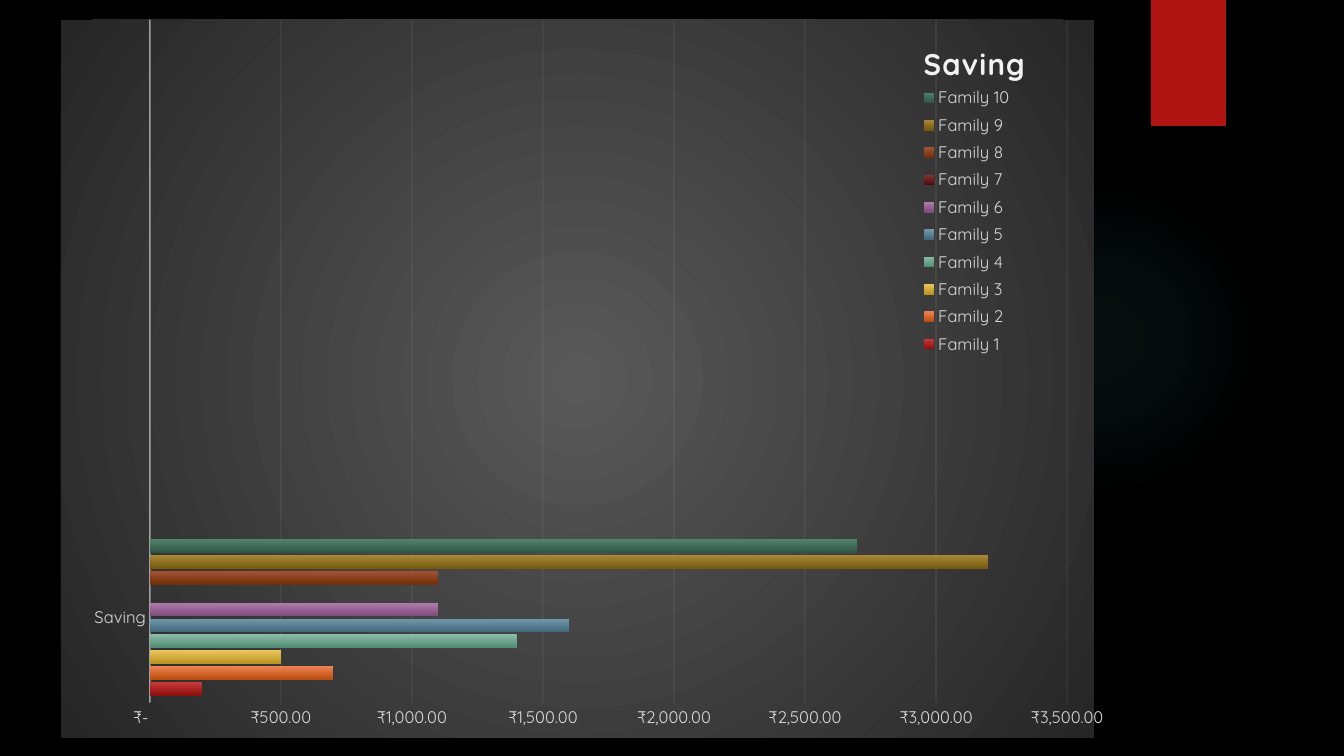
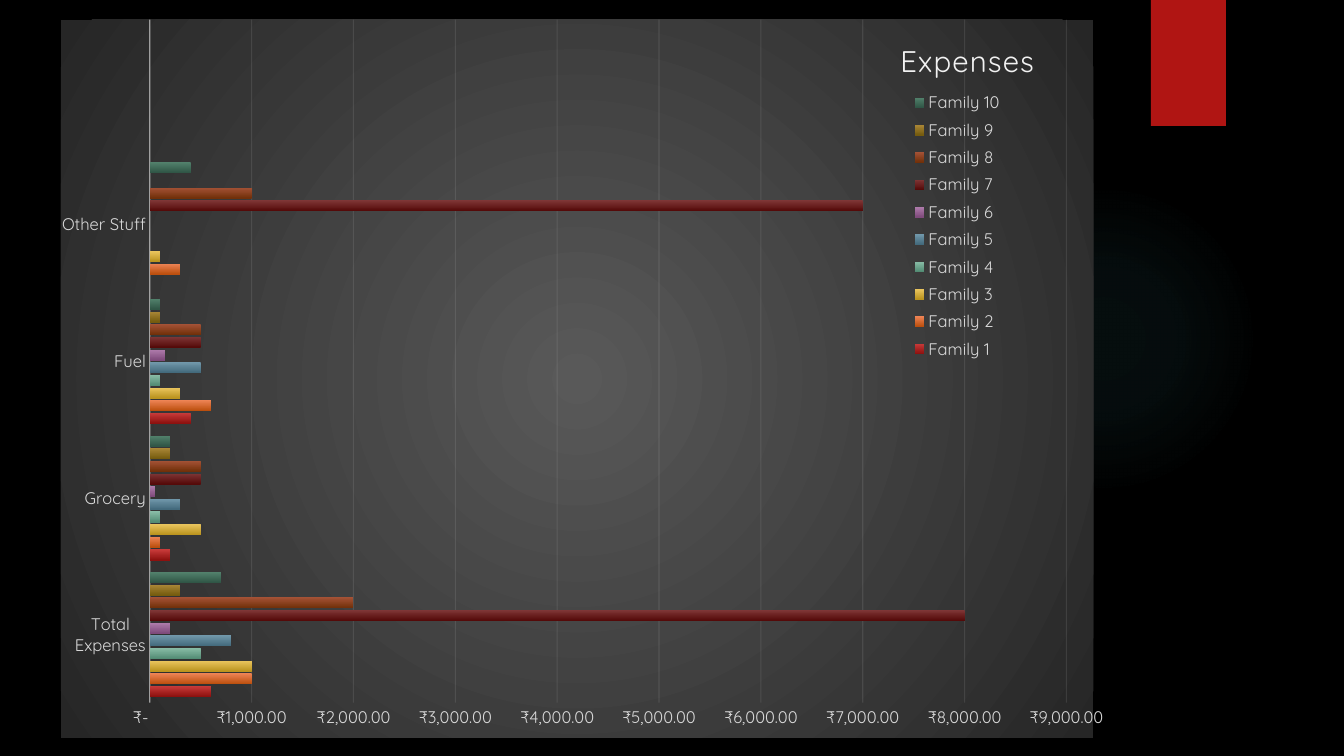
from pptx import Presentation
from pptx.chart.data import CategoryChartData
from pptx.dml.color import RGBColor
from pptx.enum.chart import XL_CHART_TYPE as ChartType
from pptx.enum.chart import XL_LEGEND_POSITION as LegendPosition
from pptx.enum.chart import XL_TICK_MARK as TickMark
from pptx.enum.shapes import MSO_SHAPE as Shape
from pptx.oxml import parse_xml
from pptx.oxml.ns import nsdecls, qn
from pptx.util import Pt

PX = 914400 / 100.8
FONT = "Quicksand"
BLACK, RED, TEAL = "000000", "B01513", "50B9C1"
WHITE, LIGHT, LABEL = "FFFFFF", "F2F2F2", "D9D9D9"
RUPEES = '_("₹"* #,##0.00_);_("₹"* \\(#,##0.00\\);_("₹"* "-"??_);_(@_)'
rgb = RGBColor.from_string

LINEAR_DOWN = '<a:lin ang="5400000" scaled="0"/>'
RADIAL = ('<a:path path="circle">'
          '<a:fillToRect l="50000" t="50000" r="50000" b="50000"/></a:path>')

# Top and bottom colour of each family's bars
FAMILY_COLOURS = [
    ("C93B3A", "8D110F"), ("EE8455", "BC4F0E"), ("EBC65F", "BB941F"),
    ("89BDA7", "538C74"), ("7198AB", "436A7C"), ("AF7CAC", "7F4B7C"),
    ("7F3636", "550A09"), ("A45236", "713009"), ("AA8737", "755B0E"),
    ("52816C", "305646"),
]

# Unlabelled categories leave empty room above the bars
CHARTS = [
    dict(
        title="Saving", bold=True, title_at=(0.83, 0.025),
        legend_at=(0.822, 0.085, 0.11, 0.39),
        categories=["Saving", "", "", ""],
        values=[[200, 700, 500, 1400, 1600, 1100, 0, 1100, 3200, 2700]],
        maximum=3500, step=500,
    ),
    dict(
        title="Expenses", bold=False, title_at=(0.808, 0.02),
        legend_at=(0.813, 0.092, 0.11, 0.39),
        categories=["Total Expenses", "Grocery", "Fuel", "Other Stuff", ""],
        values=[
            [600, 1000, 1000, 500, 800, 200, 8000, 2000, 300, 700],
            [200, 100, 500, 100, 300, 50, 500, 500, 200, 200],
            [400, 600, 300, 100, 500, 150, 500, 500, 100, 100],
            [0, 300, 100, 0, 0, 0, 7000, 1000, 0, 400],
        ],
        maximum=9000, step=1000,
    ),
]


def replace_no_fill(properties, stops, direction):
    """Swap the empty fill for a gradient of (position, colour, opacity) stops in percent."""
    stop_xml = "".join(
        f'<a:gs pos="{pos * 1000}"><a:srgbClr val="{colour}">'
        f'<a:alpha val="{opacity * 1000}"/></a:srgbClr></a:gs>'
        for pos, colour, opacity in stops)
    gradient = parse_xml(f'<a:gradFill {nsdecls("a")} rotWithShape="1">'
                         f'<a:gsLst>{stop_xml}</a:gsLst>{direction}</a:gradFill>')
    properties.replace(properties.find(qn("a:noFill")), gradient)


def set_layout(part, fractions, target=""):
    """Place a chart part by x, y and optionally w, h as fractions of the chart."""
    for old in part.findall(qn("c:layout")):
        part.remove(old)
    modes = '<c:xMode val="edge"/><c:yMode val="edge"/>'
    sizes = "".join(f'<c:{key} val="{value}"/>' for key, value in zip("xywh", fractions))
    layout = parse_xml(f'<c:layout {nsdecls("c")}><c:manualLayout>'
                       f'{target}{modes}{sizes}</c:manualLayout></c:layout>')
    overlay = part.find(qn("c:overlay"))
    if overlay is None:
        part.insert(0, layout)
    else:
        overlay.addprevious(layout)


prs = Presentation()
prs.slide_width, prs.slide_height = round(1344 * PX), round(756 * PX)
background = prs.slide_master.background.fill
background.solid()
background.fore_color.rgb = rgb(BLACK)

for content in CHARTS:
    slide = prs.slides.add_slide(prs.slide_layouts[6])

    glow = slide.shapes.add_shape(Shape.OVAL, *(round(v * PX) for v in (949, 184, 310, 310)))
    glow.shadow.inherit = False
    glow.line.fill.background()
    glow.fill.background()
    replace_no_fill(glow.element.spPr, [(0, TEAL, 7), (36, TEAL, 6), (69, TEAL, 0)], RADIAL)

    ribbon = slide.shapes.add_shape(Shape.RECTANGLE, *(round(v * PX) for v in (1151, 0, 75, 126)))
    ribbon.shadow.inherit = False
    ribbon.line.fill.background()
    ribbon.fill.solid()
    ribbon.fill.fore_color.rgb = rgb(RED)

    data = CategoryChartData()
    data.categories = content["categories"]
    blanks = [None] * (len(content["categories"]) - len(content["values"]))
    for number, family_values in enumerate(zip(*content["values"]), start=1):
        data.add_series(f"Family {number}", list(family_values) + blanks)
    chart = slide.shapes.add_chart(
        ChartType.BAR_CLUSTERED, *(round(v * PX) for v in (61, 19, 1047, 719)), data).chart
    chart.font.name, chart.font.size = FONT, Pt(10)
    chart.font.color.rgb = rgb(WHITE)

    area = parse_xml(f'<c:spPr {nsdecls("a", "c")}><a:noFill/><a:ln><a:noFill/></a:ln></c:spPr>')
    chart.element.find(qn("c:chart")).addnext(area)
    replace_no_fill(area, [(0, "595959", 100), (100, "262626", 100)], RADIAL)
    set_layout(chart.element.xpath(".//c:plotArea")[0], (0.086, 0, 0.888, 0.951),
               '<c:layoutTarget val="inner"/>')

    bars = chart.plots[0]
    bars.gap_width, bars.overlap = 115, -20
    bars.vary_by_categories = False
    for series, (top, bottom) in zip(bars.series, FAMILY_COLOURS):
        series.format.fill.background()
        replace_no_fill(series.format.fill._xPr, [(0, top, 100), (100, bottom, 100)], LINEAR_DOWN)

    categories, amounts = chart.category_axis, chart.value_axis
    for axis in (categories, amounts):
        axis.major_tick_mark = axis.minor_tick_mark = TickMark.NONE
    amounts.minimum_scale, amounts.maximum_scale = 0, content["maximum"]
    amounts.major_unit = content["step"]
    amounts.tick_labels.number_format = RUPEES
    amounts.tick_labels.number_format_is_linked = False
    amounts.format.line.fill.background()
    for line, width in ((categories.format.line, 1), (amounts.major_gridlines.format.line, 0.75)):
        line.width = Pt(width)
        line.color.rgb = rgb(LIGHT)
    for owner, opacity in (("c:catAx/c:spPr", 54), ("c:valAx/c:majorGridlines", 10)):
        colour = chart.element.xpath(f".//{owner}//a:srgbClr")[0]
        colour.append(parse_xml(f'<a:alpha {nsdecls("a")} val="{opacity * 1000}"/>'))

    chart.has_legend = True
    legend = chart.legend
    legend.position = LegendPosition.CORNER
    legend.include_in_layout = False
    set_layout(chart.element.xpath(".//c:legend")[0], content["legend_at"])
    for font in (categories.tick_labels.font, amounts.tick_labels.font, legend.font):
        font.name, font.size = FONT, Pt(12)
        font.color.rgb = rgb(LABEL)

    chart.has_title = True
    heading = chart.chart_title.text_frame
    heading.text = content["title"]
    run = heading.paragraphs[0].runs[0]
    run.font.name, run.font.size, run.font.bold = FONT, Pt(21.3), content["bold"]
    run.font.color.rgb = rgb(LIGHT)
    run.font._element.set("spc", "100")
    set_layout(chart.element.xpath(".//c:chart/c:title")[0], content["title_at"])

prs.save("out.pptx")
